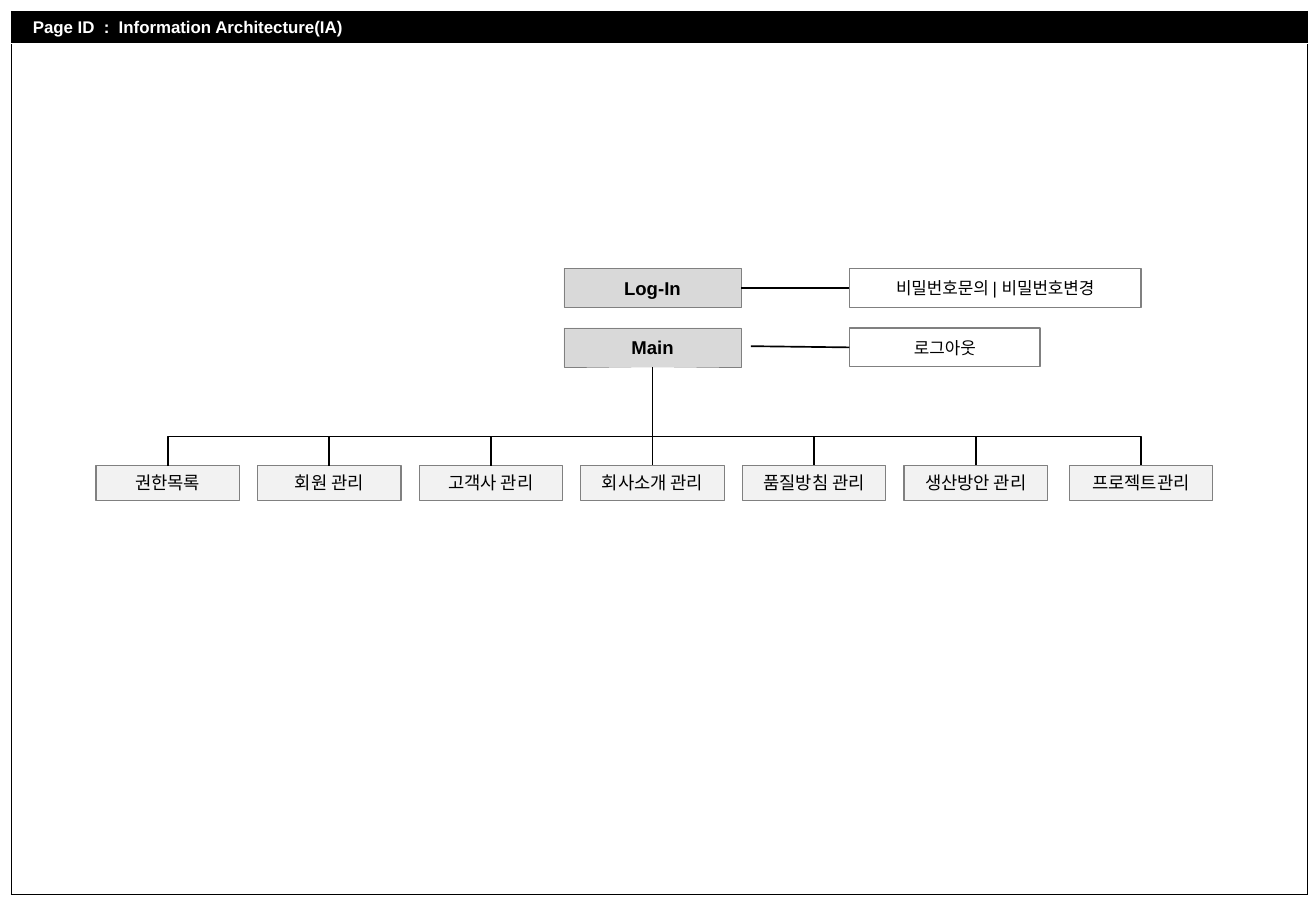
"""Information architecture page: a framed sheet with a site map."""
from dataclasses import dataclass

from lxml import etree
from pptx import Presentation
from pptx import util as u
from pptx.dml.color import RGBColor
from pptx.enum import shapes, text
from pptx.oxml import ns


@dataclass(frozen=True)
class Theme:
    """Colours, fonts and type sizes of the page."""
    ink: str = "000000"
    paper: str = "FFFFFF"
    edge: str = "808080"
    root_fill: str = "D9D9D9"
    menu_fill: str = "F2F2F2"
    latin: str = "Arial"
    korean: str = "Noto Sans CJK KR"
    header_size: float = 10
    root_size: float = 11
    side_size: float = 10
    menu_size: float = 10.5


@dataclass(frozen=True)
class Box:
    """A rectangle in inches."""
    left: float
    top: float
    width: float
    height: float

    def inside(self, dx, dy, width, height):
        """Return a box offset from this one's top left corner."""
        return Box(self.left + dx, self.top + dy, width, height)

    def lengths(self):
        """Return left, top, width and height as slide lengths."""
        return [u.Inches(n) for n in (self.left, self.top, self.width, self.height)]

    @property
    def center(self):
        """Return the horizontal centre."""
        return self.left + self.width / 2

    @property
    def middle(self):
        """Return the vertical centre."""
        return self.top + self.height / 2


THEME = Theme()
MENUS = ["권한목록", "회원 관리", "고객사 관리", "회사소개 관리",
         "품질방침 관리", "생산방안 관리", "프로젝트관리"]


def write(line, words, size, color, bold=False, latin=THEME.latin):
    """Add one formatted run to a paragraph."""
    run = line.add_run()
    run.text = words
    run.font.name = latin
    run.font.size = u.Pt(size)
    run.font.bold = bold
    run.font.color.rgb = RGBColor.from_string(color)
    etree.SubElement(run.font._element, ns.qn("a:ea"), typeface=THEME.korean)


def add_node(slide, box, words, size, fill, edge_width=0.75, **style):
    """Draw one labelled rectangle of the site map."""
    node = slide.shapes.add_shape(shapes.MSO_SHAPE.RECTANGLE, *box.lengths())
    node.shadow.inherit = False
    node.fill.solid()
    node.fill.fore_color.rgb = RGBColor.from_string(fill)
    node.line.color.rgb = RGBColor.from_string(THEME.edge)
    node.line.width = u.Pt(edge_width)
    frame = node.text_frame
    frame.word_wrap = True
    frame.vertical_anchor = text.MSO_ANCHOR.MIDDLE
    frame.margin_left = frame.margin_right = u.Inches(0.03)
    frame.margin_top = frame.margin_bottom = u.Inches(0.03)
    frame.paragraphs[0].alignment = text.PP_ALIGN.CENTER
    write(frame.paragraphs[0], words, size, THEME.ink, **style)


def add_link(slide, *ends, bend=shapes.MSO_CONNECTOR.STRAIGHT):
    """Draw a connector between two points given in inches."""
    link = slide.shapes.add_connector(bend, *[u.Inches(n) for n in ends])
    link.line.color.rgb = RGBColor.from_string(THEME.ink)
    link.line.width = u.Pt(1)
    etree.SubElement(link._element.spPr, ns.qn("a:effectLst"))
    return link


def add_fork(slide, first, last, rise):
    """Join the tops of two menus by an elbow that rises above them."""
    depth = 0.01
    center = (first.center + last.center) / 2
    half_span = (last.center - first.center) / 2
    fork = add_link(slide, center - depth / 2, first.top - half_span,
                    center + depth / 2, first.top + half_span,
                    bend=shapes.MSO_CONNECTOR.ELBOW)
    properties = fork._element.spPr
    for name, value in (("rot", "5400000"), ("flipH", "1"), ("flipV", "1")):
        properties.find(ns.qn("a:xfrm")).set(name, value)
    geometry = properties.find(ns.qn("a:prstGeom"))
    guides = geometry.find(ns.qn("a:avLst"))
    if guides is None:
        guides = etree.SubElement(geometry, ns.qn("a:avLst"))
    reach = round((rise + depth / 2) / depth * 100000)
    etree.SubElement(guides, ns.qn("a:gd"), name="adj1", fmla=f"val {reach}")


def set_borders(cell, **borders):
    """Give the cell's sides a colour and a width in points."""
    properties = cell._tc.get_or_add_tcPr()
    for position, side in enumerate(("L", "R", "T", "B")):
        color, width = borders[side]
        border = etree.Element(ns.qn(f"a:ln{side}"), w=str(u.Pt(width)))
        paint = etree.SubElement(border, ns.qn("a:solidFill"))
        etree.SubElement(paint, ns.qn("a:srgbClr"), val=color)
        properties.insert(position, border)


def draw_sheet(slide, box, header_height):
    """Draw the page frame with its heading in the black header row."""
    sheet = slide.shapes.add_table(2, 1, *box.lengths()).table
    sheet.columns[0].width = u.Inches(box.width)
    sheet.rows[0].height = u.Inches(header_height)
    sheet.rows[1].height = u.Inches(box.height - header_height)
    header, body = sheet.cell(0, 0), sheet.cell(1, 0)
    header.fill.solid()
    header.fill.fore_color.rgb = RGBColor.from_string(THEME.ink)
    body.fill.background()
    outer, divider = (THEME.ink, 0.25), (THEME.paper, 1)
    set_borders(header, L=outer, R=outer, T=outer, B=divider)
    set_borders(body, L=outer, R=outer, T=divider, B=outer)
    header.vertical_anchor = text.MSO_ANCHOR.MIDDLE
    header.margin_left, header.margin_right = u.Inches(0.18), u.Inches(0.04)
    header.margin_top = header.margin_bottom = u.Inches(0.04)
    write(header.text_frame.paragraphs[0],
          "Page ID  :  Information Architecture(IA)",
          THEME.header_size, THEME.paper, bold=True)


def draw_entry(slide, box):
    """Draw the Log-In and Main pages with their side functions."""
    rows = [("Log-In", "비밀번호문의 | 비밀번호변경", 2.4, 0, 0, THEME.latin),
            ("Main", "로그아웃", 1.57, 0.08, -0.01, THEME.korean)]
    row_height, root_width, side_offset = 0.32, 1.46, 2.35
    for row, (page, functions, width, gap, rise, font) in enumerate(rows):
        dy = row * (box.height - row_height)
        root = box.inside(0, dy, root_width, row_height)
        side = box.inside(side_offset, dy, width, row_height)
        add_node(slide, root, page, THEME.root_size, THEME.root_fill,
                 edge_width=0.25, bold=True)
        add_node(slide, side, functions, THEME.side_size, THEME.paper, latin=font)
        add_link(slide, root.left + root.width + gap, root.middle + rise,
                 side.left, side.middle)


def draw_menus(slide, box, trunk_x, trunk_top):
    """Draw the menus, the last flush right, and the tree above them."""
    menu_width, pitch = 1.18, 1.33
    offsets = [i * pitch for i in range(len(MENUS) - 1)] + [box.width - menu_width]
    menus = [box.inside(dx, 0, menu_width, box.height) for dx in offsets]
    for menu, name in zip(menus, MENUS):
        add_node(slide, menu, name, THEME.menu_size, THEME.menu_fill)
    add_link(slide, trunk_x, trunk_top, trunk_x, box.top)
    for i in range(len(menus) // 2):
        add_fork(slide, menus[i], menus[-1 - i], rise=0.24)


def main():
    """Build and save the page."""
    deck = Presentation()
    deck.slide_width, deck.slide_height = u.Inches(10.83), u.Inches(7.5)
    slide = deck.slides.add_slide(deck.slide_layouts.get_by_name("Blank"))
    entry = Box(4.64, 2.21, 4.75, 0.81)
    draw_sheet(slide, Box(0.09, 0.09, 10.67, 7.27), header_height=0.27)
    draw_entry(slide, entry)
    draw_menus(slide, Box(0.79, 3.83, 9.19, 0.29), trunk_x=5.37,
               trunk_top=entry.top + entry.height)
    deck.save("out.pptx")


main()
